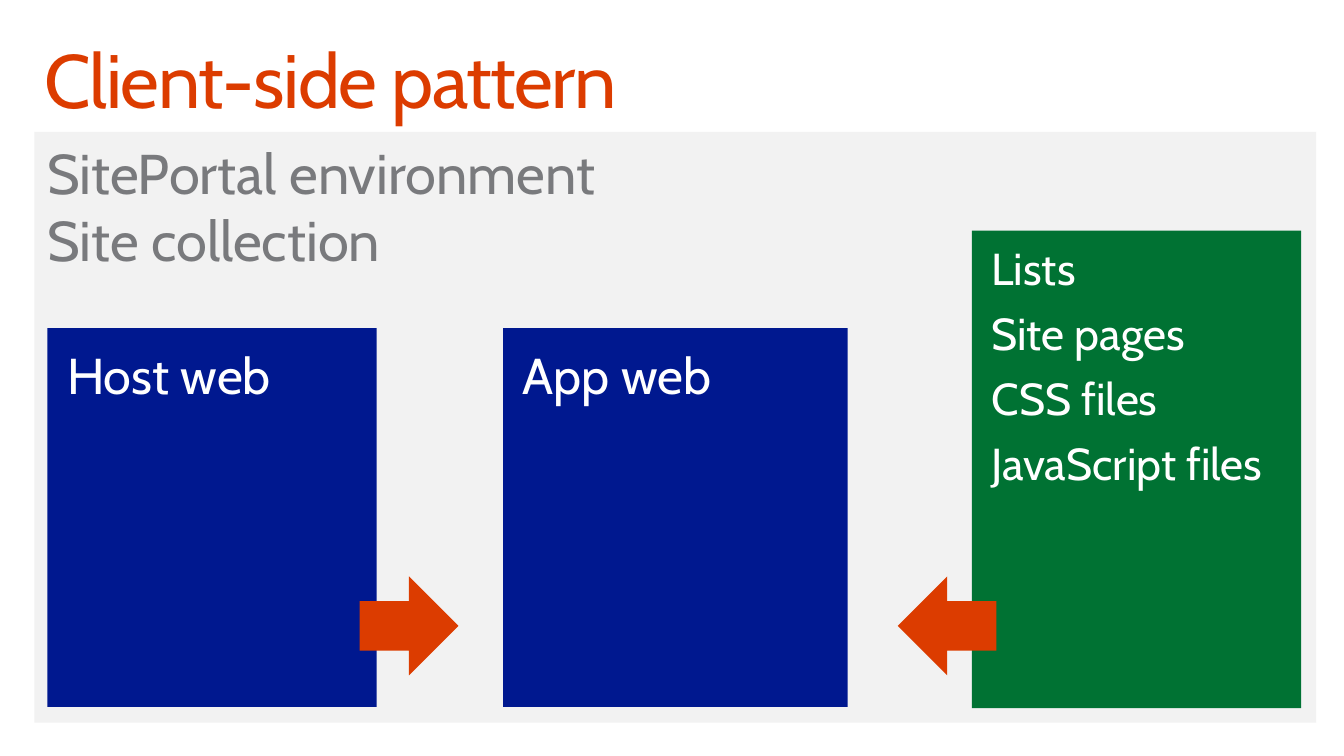
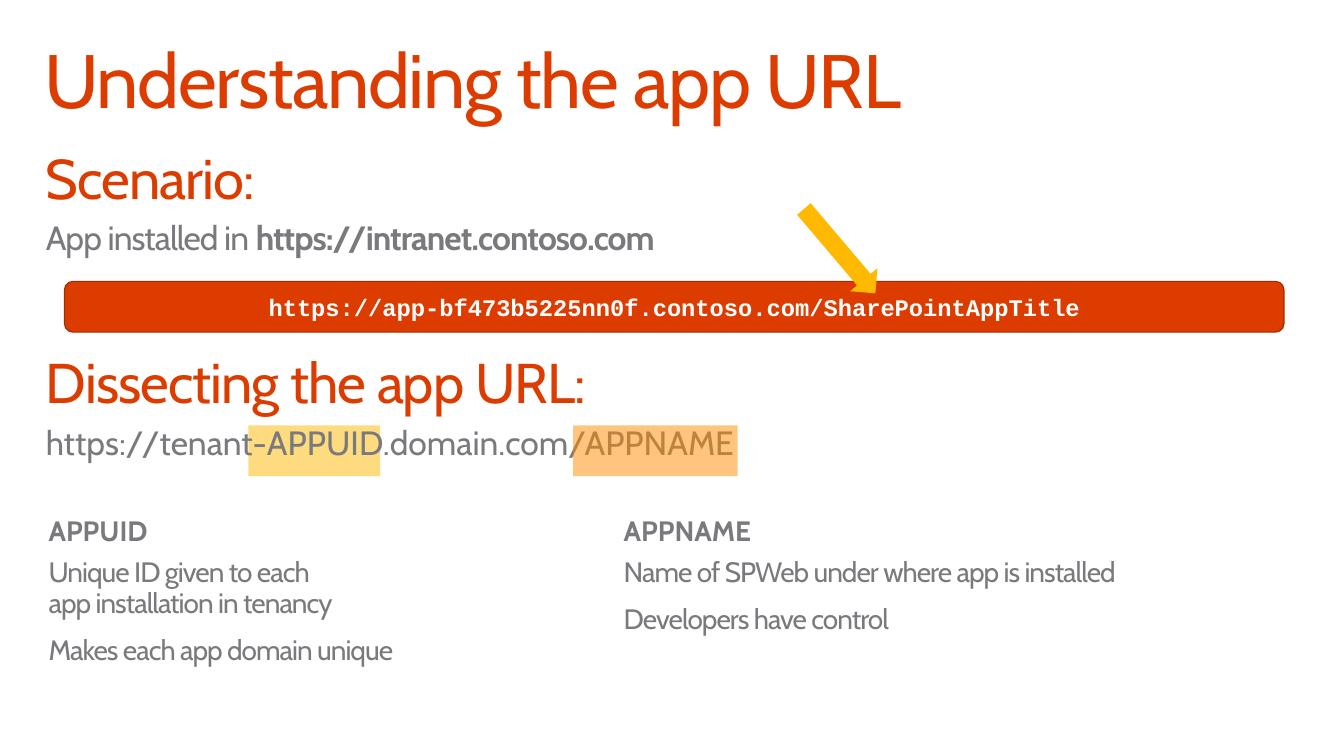
from lxml.etree import SubElement
from pptx import Presentation
from pptx.dml.color import RGBColor
from pptx.enum.shapes import MSO_SHAPE as Shape
from pptx.enum.text import MSO_ANCHOR as Anchor, MSO_AUTO_SIZE as AutoSize, PP_ALIGN as Align
from pptx.oxml.ns import qn
from pptx.util import Pt

# Shared style
ORANGE, GRAY, WHITE = "DC3C00", "797A7D", "FFFFFF"
PANEL, BLUE, GREEN = "F2F2F2", "00188F", "007233"
YELLOW, AMBER, RUST = "FFB900", "FF8C00", "A32C00"
SANS, MONO = "Cabin", "Courier New"
WIDE, TIGHT = (14.4, 11.5), (9.4, 5)
TITLE_INSETS = (11.5, 7.2)
HEADING_SIZE, TEXT_SIZE, NOTE_SIZE = 40.8, 24.5, 20.4


def rgb(value):
    return RGBColor.from_string(value)


def place(shape, left, top, width, height):
    shape.left, shape.top = Pt(left), Pt(top)
    shape.width, shape.height = Pt(width), Pt(height)


def set_frame(shape, insets, anchor=Anchor.TOP):
    frame = shape.text_frame
    frame.word_wrap = True
    frame.auto_size = AutoSize.NONE
    frame.vertical_anchor = anchor
    frame.margin_left = frame.margin_right = Pt(insets[0])
    frame.margin_top = frame.margin_bottom = Pt(insets[1])
    return frame


def format_paragraph(paragraph, size, color, name=SANS, bold=False, tracking=0,
                     line=1.0, before=0, align=Align.LEFT):
    paragraph.alignment = align
    paragraph.line_spacing = line
    paragraph.space_before = Pt(before)
    paragraph.space_after = Pt(0)
    font = paragraph.font
    font.size, font.name, font.bold = Pt(size), name, bold
    font.color.rgb = rgb(color)
    font._element.set("spc", str(round(tracking * 100)))


def write(frame, texts, size, color, before=0, **style):
    """Write equal paragraphs, with the gap only between them."""
    for index, text in enumerate(texts):
        paragraph = frame.add_paragraph() if index else frame.paragraphs[0]
        paragraph.text = text
        format_paragraph(paragraph, size, color, before=before if index else 0, **style)


def add_block(slide, kind, box, fill, opacity=None, line=None, rotation=0):
    shape = slide.shapes.add_shape(kind, 0, 0, 0, 0)
    place(shape, *box)
    shape.shadow.inherit = False
    shape.rotation = rotation
    shape.fill.solid()
    shape.fill.fore_color.rgb = rgb(fill)
    if opacity is not None:
        color = shape.fill._xPr.find(qn("a:solidFill"))[0]
        SubElement(color, qn("a:alpha"), val=str(opacity * 1000))
    if line:
        shape.line.color.rgb = rgb(line)
        shape.line.width = Pt(0.85)
    else:
        shape.line.fill.background()
    return shape


def add_titled_slide(presentation, layout, title):
    slide = presentation.slides.add_slide(presentation.slide_layouts[layout])
    place(slide.shapes.title, 21, 24, 896, 60)
    frame = set_frame(slide.shapes.title, TITLE_INSETS)
    write(frame, [title], 55.1, ORANGE, tracking=-1, line=0.9)
    return slide


# Client-side pattern: a panel with web boxes, a file list and arrows
def add_environment(slide, left, top, width, height):
    panel = add_block(slide, Shape.RECTANGLE, (left, top, width, height), PANEL)
    write(set_frame(panel, TIGHT), ["SitePortal environment", "Site collection"],
          HEADING_SIZE, GRAY)

    for name, x, box_width in (("Host web", 9.5, 240), ("App web", 341.5, 251)):
        web = add_block(slide, Shape.RECTANGLE, (left + x, top + 143, box_width, 276), BLUE)
        write(set_frame(web, WIDE), [name], 36.7, WHITE)

    contents = add_block(slide, Shape.RECTANGLE, (left + 683, top + 72, 240, 348), GREEN)
    write(set_frame(contents, WIDE),
          ["Lists", "Site pages", "CSS files", "JavaScript files"],
          32.6, WHITE, line=0.9, before=12.2)

    for x, rotation in ((237, 0), (629, 180)):
        add_block(slide, Shape.RIGHT_ARROW, (left + x, top + 324, 72, 72), ORANGE,
                  rotation=rotation)


# App URL: body text, with the address parts highlighted
def add_url_text(slide, left, top, width, height):
    body = slide.placeholders[1]
    place(body, left, top, width, height)
    frame = set_frame(body, WIDE)
    rows = (
        (["Scenario:"], HEADING_SIZE, ORANGE, -0.7, 0),
        (["App installed in ", "https://intranet.contoso.com"], TEXT_SIZE, GRAY, -0.7, 4.9),
        (["Dissecting the app URL:"], HEADING_SIZE, ORANGE, -0.7, 65.5),
        (["https://tenant-APPUID.domain.com/APPNAME"], TEXT_SIZE, GRAY, 0, 4.9),
    )
    for index, (parts, size, color, tracking, before) in enumerate(rows):
        paragraph = frame.add_paragraph() if index else frame.paragraphs[0]
        for part in parts:
            paragraph.add_run().text = part
        properties = paragraph._p.get_or_add_pPr()
        properties.set("marL", "0")
        properties.set("indent", "0")
        SubElement(properties, qn("a:buNone"))
        format_paragraph(paragraph, size, color, tracking=tracking, before=before)
    frame.paragraphs[1].runs[1].font.bold = True

    app_id = add_block(slide, Shape.RECTANGLE, (left + 162, top + 217, 96, 37), YELLOW, 50)
    slide.shapes._spTree.insert(2, app_id._element)  # behind the text
    add_block(slide, Shape.RECTANGLE, (left + 398.5, top + 217, 120, 37), AMBER, 50)


def add_address_bar(slide, left, top, width, height):
    bar = add_block(slide, Shape.ROUNDED_RECTANGLE, (left, top, width, height),
                    ORANGE, line=RUST)
    write(set_frame(bar, TIGHT, Anchor.MIDDLE),
          ["https://app-bf473b5225nn0f.contoso.com/SharePointAppTitle"],
          17.3, WHITE, name=MONO, bold=True, align=Align.CENTER)
    add_block(slide, Shape.RIGHT_ARROW, (left + 524.5, top - 35, 80.5, 26), YELLOW,
              rotation=49.7)


def add_explanation(slide, left, top, width, heading, notes):
    parts = (
        ([heading], 0, 51, dict(bold=True, line=0.85)),
        (notes, 29.5, 125, dict(tracking=-0.7, line=0.9, before=12.2)),
    )
    for texts, offset, height, style in parts:
        box = slide.shapes.add_textbox(Pt(left), Pt(top + offset), Pt(width), Pt(height))
        write(set_frame(box, WIDE), texts, NOTE_SIZE, GRAY, **style)


def main():
    presentation = Presentation()
    presentation.slide_width, presentation.slide_height = Pt(979.2), Pt(550.8)

    slide = add_titled_slide(presentation, 5, "Client-side pattern")
    add_environment(slide, 25, 96, 934, 430.5)

    slide = add_titled_slide(presentation, 1, "Understanding the app URL")
    add_url_text(slide, 19, 93, 935, 432)
    add_address_bar(slide, 47, 205, 888.5, 37)
    explanations = (
        ("APPUID", ["Unique ID given to each\vapp installation in tenancy",
                    "Makes each app domain unique"]),
        ("APPNAME", ["Name of SPWeb under where app is installed",
                     "Developers have control"]),
    )
    for column, (heading, notes) in enumerate(explanations):
        add_explanation(slide, 21 + 419 * column, 366, 416, heading, notes)

    presentation.save("out.pptx")


if __name__ == "__main__":
    main()
